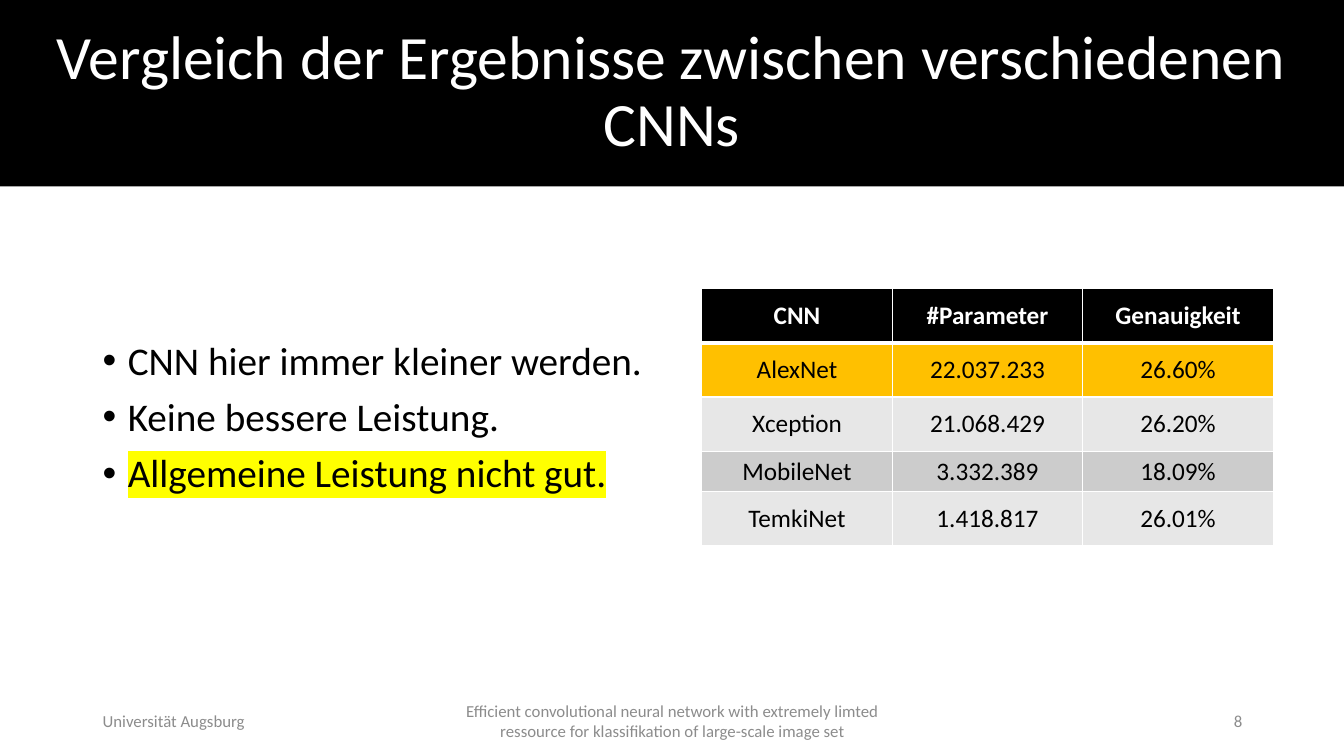
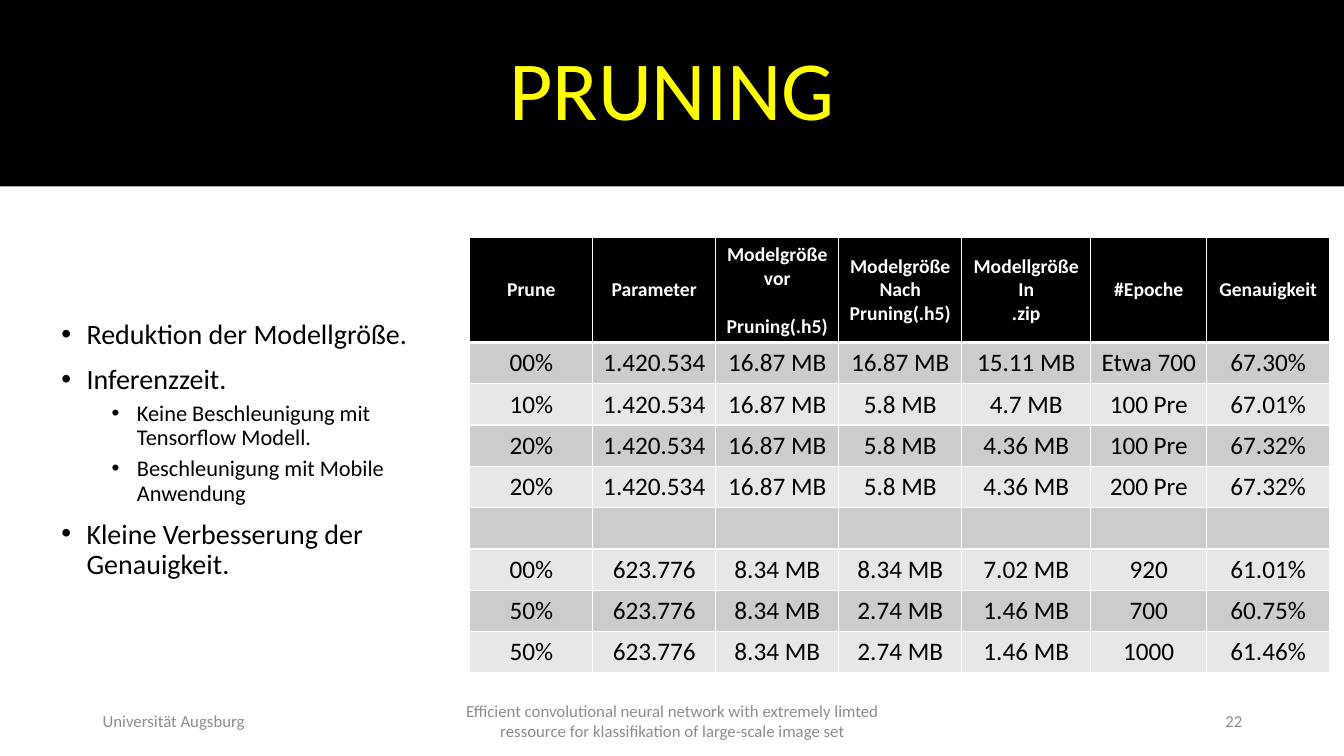
"""Build two slides that compare CNN results and pruning results."""
from dataclasses import dataclass
from typing import Optional

from lxml.etree import SubElement
from pptx import Presentation
from pptx.dml.color import RGBColor
from pptx.enum.shapes import MSO_SHAPE as Shape
from pptx.enum.text import MSO_ANCHOR as Anchor, PP_ALIGN as Align
from pptx.oxml.ns import qn
from pptx.util import Inches, Pt

FONT = "Calibri"
BLACK, WHITE, GREY = "000000", "FFFFFF", "8C8C8C"
YELLOW, AMBER = "FFFF00", "FFC000"
BANDS = ("CCCCCC", "E7E7E7")
SLIDE_WIDTH, SLIDE_HEIGHT, TITLE_HEIGHT = 13.33, 7.5, 1.85
FOOTER_TOP, FOOTER_HEIGHT = 6.95, 0.4
UNIVERSITY = "Universität Augsburg"
TALK = ("Efficient convolutional neural network with extremely limted "
        "ressource for klassifikation of large-scale image set")


@dataclass(frozen=True)
class Box:
    left: float
    top: float
    width: float
    height: float

    def lengths(self):
        return [Inches(value) for value in (self.left, self.top, self.width, self.height)]


@dataclass(frozen=True)
class Style:
    size: float
    color: str = BLACK
    bold: bool = False
    highlight: Optional[str] = None


@dataclass(frozen=True)
class Bullet:
    text: str
    size: float
    level: int = 0
    highlight: Optional[str] = None


@dataclass(frozen=True)
class Line:
    text: str
    space_before: float = 0


@dataclass(frozen=True)
class TableSpec:
    left: float
    top: float
    columns: tuple
    row_heights: tuple
    header: tuple
    header_size: float
    rows: tuple
    row_fills: dict


@dataclass(frozen=True)
class SlideSpec:
    title: str
    title_style: Style
    body_box: Box
    bullets: tuple
    table: TableSpec
    number: str


def rgb(color: str) -> RGBColor:
    return RGBColor.from_string(color)


def add_run(paragraph, text: str, style: Style) -> None:
    run = paragraph.add_run()
    run.text = text
    run.font.size = Pt(style.size)
    run.font.bold = style.bold
    run.font.color.rgb = rgb(style.color)
    run.font.name = FONT
    if style.highlight:
        properties = run.font._element
        highlight = SubElement(properties, qn("a:highlight"))
        SubElement(highlight, qn("a:srgbClr"), val=style.highlight)
        properties.find(qn("a:solidFill")).addnext(highlight)


def next_paragraph(frame, index: int):
    return frame.add_paragraph() if index else frame.paragraphs[0]


def add_text_box(slide, box: Box):
    frame = slide.shapes.add_textbox(*box.lengths()).text_frame
    frame.word_wrap = True
    frame.vertical_anchor = Anchor.MIDDLE
    return frame


def add_title(slide, text: str, style: Style) -> None:
    band = slide.shapes.add_shape(
        Shape.RECTANGLE, *Box(0, 0, SLIDE_WIDTH, TITLE_HEIGHT).lengths())
    band.shadow.inherit = False
    band.fill.solid()
    band.fill.fore_color.rgb = rgb(BLACK)
    band.line.fill.background()
    frame = band.text_frame
    frame.word_wrap = True
    frame.vertical_anchor = Anchor.MIDDLE
    paragraph = frame.paragraphs[0]
    paragraph.alignment = Align.CENTER
    paragraph.line_spacing = 0.9
    add_run(paragraph, text, style)


def add_bullets(slide, box: Box, bullets: tuple) -> None:
    frame = add_text_box(slide, box)
    for index, bullet in enumerate(bullets):
        paragraph = next_paragraph(frame, index)
        paragraph.level = bullet.level
        paragraph.line_spacing = 0.9
        if index:
            paragraph.space_before = Pt(5 if bullet.level else 10)
        properties = paragraph._p.get_or_add_pPr()
        properties.set("marL", str(Inches(0.25 + 0.5 * bullet.level)))
        properties.set("indent", str(Inches(-0.25)))
        SubElement(properties, qn("a:buFont"), typeface="Arial")
        SubElement(properties, qn("a:buChar"), char="•")
        add_run(paragraph, bullet.text, Style(bullet.size, highlight=bullet.highlight))


def set_borders(cell, top: float, bottom: float) -> None:
    properties = cell._tc.get_or_add_tcPr()
    for side, width in (("L", 1), ("R", 1), ("T", top), ("B", bottom)):
        border = SubElement(properties, qn(f"a:ln{side}"), w=str(Pt(width)))
        fill = SubElement(border, qn("a:solidFill"))
        SubElement(fill, qn("a:srgbClr"), val=WHITE)


def fill_cell(cell, lines: tuple, style: Style, fill: str) -> None:
    cell.vertical_anchor = Anchor.MIDDLE
    cell.fill.solid()
    cell.fill.fore_color.rgb = rgb(fill)
    for index, line in enumerate(lines):
        paragraph = next_paragraph(cell.text_frame, index)
        paragraph.alignment = Align.CENTER
        if line.space_before:
            paragraph.space_before = Pt(line.space_before)
        if line.text:
            add_run(paragraph, line.text, style)


def add_results_table(slide, spec: TableSpec) -> None:
    box = Box(spec.left, spec.top, sum(spec.columns), sum(spec.row_heights))
    table = slide.shapes.add_table(
        len(spec.row_heights), len(spec.columns), *box.lengths()).table
    for column, width in zip(table.columns, spec.columns):
        column.width = Inches(width)
    for row, height in zip(table.rows, spec.row_heights):
        row.height = Inches(height)
    header_style = Style(spec.header_size, WHITE, bold=True)
    for index, lines in enumerate(spec.header):
        cell = table.cell(0, index)
        set_borders(cell, 1, 3)
        fill_cell(cell, lines, header_style, BLACK)
    for row_index, values in enumerate(spec.rows):
        fill = spec.row_fills.get(row_index, BANDS[row_index % 2])
        for index, value in enumerate(values):
            cell = table.cell(row_index + 1, index)
            set_borders(cell, 1 if row_index else 3, 1)
            fill_cell(cell, (Line(value),), Style(18), fill)


def add_footer(slide, number: str) -> None:
    for left, width, text, alignment in (
            (0.92, 3, UNIVERSITY, Align.LEFT),
            (4.42, 4.5, TALK, Align.CENTER),
            (9.42, 3, number, Align.RIGHT)):
        frame = add_text_box(slide, Box(left, FOOTER_TOP, width, FOOTER_HEIGHT))
        paragraph = frame.paragraphs[0]
        paragraph.alignment = alignment
        add_run(paragraph, text, Style(12, GREY))


def add_slide(presentation, spec: SlideSpec) -> None:
    slide = presentation.slides.add_slide(presentation.slide_layouts[6])
    add_title(slide, spec.title, spec.title_style)
    add_bullets(slide, spec.body_box, spec.bullets)
    add_results_table(slide, spec.table)
    add_footer(slide, spec.number)


COMPARISON = SlideSpec(
    title="Vergleich der Ergebnisse zwischen verschiedenen CNNs",
    title_style=Style(44, WHITE),
    body_box=Box(0.92, 2, 5.67, 4.31),
    bullets=(
        Bullet("CNN hier immer kleiner werden.", 28),
        Bullet("Keine bessere Leistung.", 28),
        Bullet("Allgemeine Leistung nicht gut.", 28, highlight=YELLOW),
    ),
    table=TableSpec(
        left=6.96, top=2.86,
        columns=(1.89,) * 3,
        row_heights=(0.54, 0.54, 0.54, 0.4, 0.53),
        header=((Line("CNN"),), (Line("#Parameter"),), (Line("Genauigkeit"),)),
        header_size=18,
        rows=(
            ("AlexNet", "22.037.233", "26.60%"),
            ("Xception", "21.068.429", "26.20%"),
            ("MobileNet", "3.332.389", "18.09%"),
            ("TemkiNet", "1.418.817", "26.01%"),
        ),
        row_fills={0: AMBER},
    ),
    number="8",
)

PRUNING = SlideSpec(
    title="PRUNING",
    title_style=Style(60, YELLOW),
    body_box=Box(0.51, 2.02, 3.82, 4.9),
    bullets=(
        Bullet("Reduktion der Modellgröße.", 20),
        Bullet("Inferenzzeit.", 20),
        Bullet("Keine Beschleunigung mit Tensorflow Modell.", 16, level=1),
        Bullet("Beschleunigung mit Mobile Anwendung", 16, level=1),
        Bullet("Kleine Verbesserung der Genauigkeit.", 20),
    ),
    table=TableSpec(
        left=4.66, top=2.36,
        columns=(1.22, 1.22, 1.22, 1.22, 1.28, 1.15, 1.22),
        row_heights=(1.03,) + (0.41,) * 8,
        header=(
            (Line("Prune"),),
            (Line("Parameter"),),
            (Line("Modelgröße vor"), Line("Pruning(.h5)", space_before=17)),
            (Line("Modelgröße"), Line("Nach Pruning(.h5)")),
            (Line("Modellgröße"), Line("In"), Line(".zip")),
            (Line("#Epoche"),),
            (Line("Genauigkeit"),),
        ),
        header_size=14,
        rows=(
            ("00%", "1.420.534", "16.87 MB", "16.87 MB", "15.11 MB", "Etwa 700", "67.30%"),
            ("10%", "1.420.534", "16.87 MB", "5.8 MB", "4.7 MB", "100 Pre", "67.01%"),
            ("20%", "1.420.534", "16.87 MB", "5.8 MB", "4.36 MB", "100 Pre", "67.32%"),
            ("20%", "1.420.534", "16.87 MB", "5.8 MB", "4.36 MB", "200 Pre", "67.32%"),
            ("",) * 7,
            ("00%", "623.776", "8.34 MB", "8.34 MB", "7.02 MB", "920", "61.01%"),
            ("50%", "623.776", "8.34 MB", "2.74 MB", "1.46 MB", "700", "60.75%"),
            ("50%", "623.776", "8.34 MB", "2.74 MB", "1.46 MB", "1000", "61.46%"),
        ),
        row_fills={},
    ),
    number="22",
)


def main() -> None:
    presentation = Presentation()
    presentation.slide_width = Inches(SLIDE_WIDTH)
    presentation.slide_height = Inches(SLIDE_HEIGHT)
    for spec in (COMPARISON, PRUNING):
        add_slide(presentation, spec)
    presentation.save("out.pptx")


if __name__ == "__main__":
    main()
